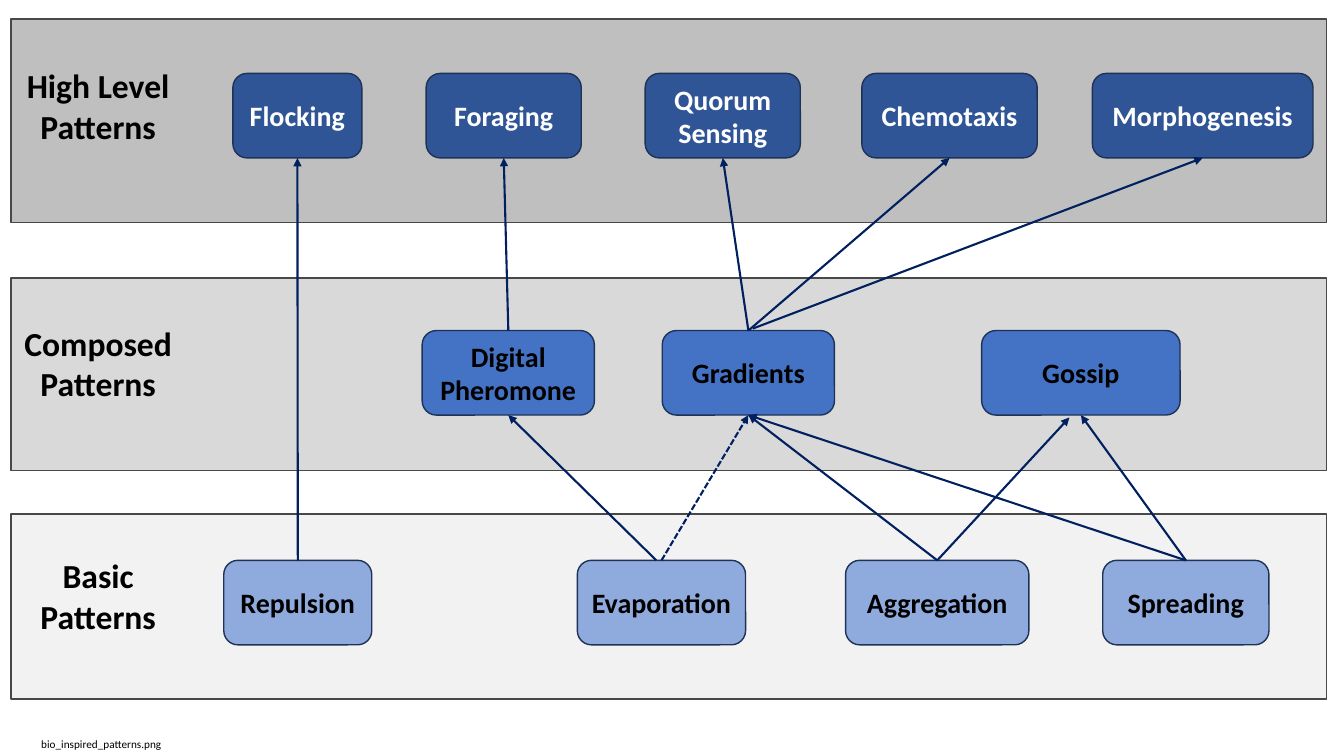
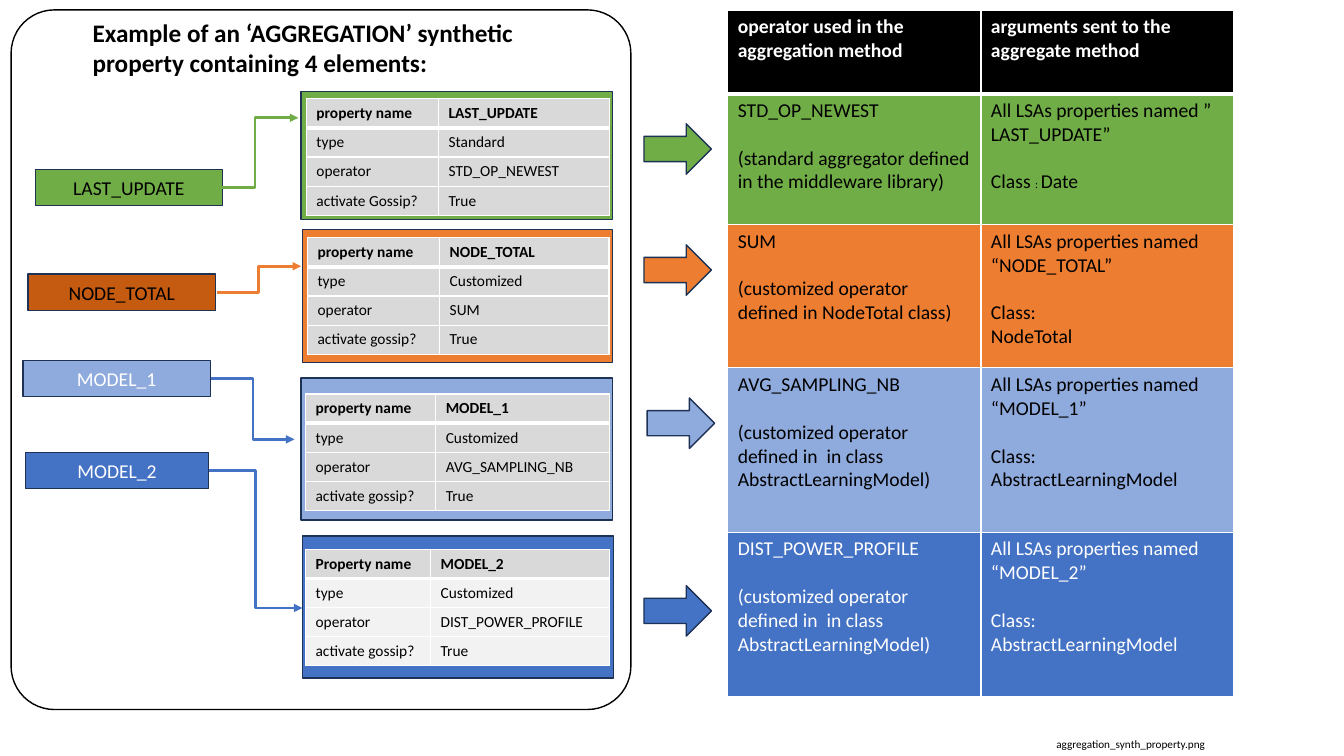
from lxml import etree
from pptx import Presentation
from pptx.dml.color import RGBColor
from pptx.enum import dml, shapes, text
from pptx.oxml import ns
from pptx.util import Cm, Pt

BLACK = RGBColor(0x00, 0x00, 0x00)
WHITE = RGBColor(0xFF, 0xFF, 0xFF)
NAVY = RGBColor(0x00, 0x20, 0x60)
OUTLINE = RGBColor(0x1E, 0x32, 0x56)
BAND_LINE = RGBColor(0x48, 0x48, 0x48)
DARK_GRAY = RGBColor(0xBF, 0xBF, 0xBF)
MID_GRAY = RGBColor(0xD9, 0xD9, 0xD9)
LIGHT_GRAY = RGBColor(0xF2, 0xF2, 0xF2)
DARK_BLUE = RGBColor(0x2F, 0x55, 0x97)
BLUE = RGBColor(0x44, 0x72, 0xC4)
LIGHT_BLUE = RGBColor(0x8F, 0xAA, 0xDC)
GREEN = RGBColor(0x70, 0xAD, 0x47)
ORANGE = RGBColor(0xED, 0x7D, 0x31)
RUST = RGBColor(0xC5, 0x5A, 0x11)

SHAPE = shapes.MSO_SHAPE
CENTER = text.PP_ALIGN.CENTER
LEFT = text.PP_ALIGN.LEFT
BOX_H = 2.13


class Deck:
    font = "Calibri"
    small = 8
    gap = 17

    def __init__(self):
        self.prs = Presentation()
        self.prs.slide_width = Cm(33.87)
        self.prs.slide_height = Cm(19.05)
        self.s = None

    def slide(self, layout):
        self.s = self.prs.slides.add_slide(self.prs.slide_layouts.get_by_name(layout))

    def put_text(self, tf, content, size, color=BLACK, bold=False, align=LEFT):
        """A blank line opens a gap; text between bars is small."""
        tf.word_wrap = True
        p = None
        for block in content.split("\n\n"):
            for i, line in enumerate(block.split("\n")):
                first = p is None
                p = tf.paragraphs[0] if first else tf.add_paragraph()
                p.alignment = align
                if not first and i == 0:
                    p.space_before = Pt(self.gap)
                for j, part in enumerate(line.split("|")):
                    r = p.add_run()
                    r.text = part
                    style = {"name": self.font, "bold": bold,
                             "size": Pt(self.small if j % 2 else size)}
                    for name, value in style.items():
                        setattr(r.font, name, value)
                    r.font.color.rgb = color

    def title(self, content, *place):
        sp = self.s.shapes.title
        for name, value in zip(("left", "top", "width", "height"), place):
            setattr(sp, name, Cm(value))
        sp.text_frame.auto_size = text.MSO_AUTO_SIZE.NONE
        sp.text_frame.vertical_anchor = text.MSO_ANCHOR.TOP
        self.put_text(sp.text_frame, content, 18, bold=True)

    def label(self, content, place, size, **style):
        sp = self.s.shapes.add_textbox(*map(Cm, place))
        self.put_text(sp.text_frame, content, size, **style)

    def shape(self, kind, place, fill=None, line=OUTLINE):
        sp = self.s.shapes.add_shape(kind, *map(Cm, place))
        sp.shadow.inherit = False
        if fill is None:
            sp.fill.background()
        else:
            sp.fill.solid()
            sp.fill.fore_color.rgb = fill
        sp.line.color.rgb = line
        sp.line.width = Pt(1)
        return sp

    def box(self, kind, place, fill, content, size, color, bold=False):
        sp = self.shape(kind, place, fill)
        tf = sp.text_frame
        tf.margin_left = tf.margin_right = 0
        tf.vertical_anchor = text.MSO_ANCHOR.MIDDLE
        self.put_text(tf, content, size, color, bold, CENTER)
        return sp

    def arrow(self, kind, start, end, color, width, dashed=False):
        points = [p if isinstance(p, tuple) else (0, 0) for p in (start, end)]
        c = self.s.shapes.add_connector(kind, *(Cm(v) for p in points for v in p))
        if not isinstance(start, tuple):
            c.begin_connect(start, 0)
        if not isinstance(end, tuple):
            c.end_connect(end, 2)
        c.line.color.rgb = color
        c.line.width = Pt(width)
        if dashed:
            c.line.dash_style = dml.MSO_LINE.SQUARE_DOT
        etree.SubElement(c.get_or_add_ln(), ns.qn("a:tailEnd"), type="triangle")
        etree.SubElement(c._element.spPr, ns.qn("a:effectLst"))

    def border(self, cell, row):
        widths = {"L": 1, "R": 1, "T": 3 if row == 1 else 1, "B": 3 if row == 0 else 1}
        tc_pr = cell._tc.get_or_add_tcPr()
        for i, (side, width) in enumerate(widths.items()):
            ln = etree.Element(ns.qn(f"a:ln{side}"), w=str(Pt(width)))
            fill = etree.SubElement(ln, ns.qn("a:solidFill"))
            etree.SubElement(fill, ns.qn("a:srgbClr"), val=str(WHITE))
            tc_pr.insert(i, ln)

    def table(self, left, top, cols, heights, rows, fills, colors, size):
        place = map(Cm, (left, top, sum(cols), sum(heights)))
        t = self.s.shapes.add_table(len(rows), len(cols), *place).table
        for col, width in zip(t.columns, cols):
            col.width = Cm(width)
        for i, row in enumerate(rows):
            t.rows[i].height = Cm(heights[i])
            for j, content in enumerate(row):
                cell = t.cell(i, j)
                cell.fill.solid()
                cell.fill.fore_color.rgb = fills[i]
                self.border(cell, i)
                self.put_text(cell.text_frame, content, size, colors[i], i == 0)

    def caption(self, content, left, width):
        self.label(content, (left, 18.45, width, 0.6), 8)


def patterns_slide(deck):
    deck.slide("Blank")
    levels = [
        ("High Level\nPatterns", 0.48, 5.13, DARK_GRAY, 1.52, 1.85, DARK_BLUE, WHITE,
         [("Flocking", 5.87, 3.25), ("Foraging", 10.74, 3.91),
          ("Quorum\nSensing", 16.26, 3.91), ("Chemotaxis", 21.72, 4.42),
          ("Morphogenesis", 27.53, 5.56)]),
        ("Composed\nPatterns", 7.01, 4.85, MID_GRAY, 8.0, 8.33, BLUE, BLACK,
         [("Digital\nPheromone", 10.64, 4.34), ("Gradients", 16.69, 4.34),
          ("Gossip", 24.74, 5.0)]),
        ("Basic\nPatterns", 12.95, 4.67, LIGHT_GRAY, 13.87, 14.12, LIGHT_BLUE, BLACK,
         [("Repulsion", 5.64, 3.73), ("Evaporation", 14.55, 4.24),
          ("Aggregation", 21.31, 4.62), ("Spreading", 27.79, 4.19)]),
    ]
    boxes = {}
    for name, top, height, gray, label_top, box_top, fill, color, patterns in levels:
        deck.shape(SHAPE.RECTANGLE, (0.28, top, 33.15, height), gray, BAND_LINE)
        deck.label(name, (0, label_top, 4.95, 2.31), 24, bold=True, align=CENTER)
        for pattern, left, width in patterns:
            boxes[pattern.split("\n")[0]] = deck.box(
                SHAPE.ROUNDED_RECTANGLE, (left, box_top, width, BOX_H),
                fill, pattern, 20, color, True)

    links = [
        ("Aggregation", (26.95, 10.52)), ("Spreading", "Gossip"),
        ((18.97, 8.28), "Morphogenesis"), ("Gradients", "Chemotaxis"),
        ("Gradients", "Quorum"), ("Digital", "Foraging"), ("Repulsion", "Flocking"),
        ((16.54, 14.12), "Digital"), ("Spreading", "Gradients"),
        ("Aggregation", "Gradients"), ("Evaporation", "Gradients"),
    ]
    for link in links:
        start, end = (boxes.get(p, p) for p in link)
        deck.arrow(shapes.MSO_CONNECTOR.STRAIGHT, start, end, NAVY, 1.5,
                   link == ("Evaporation", "Gradients"))
    deck.caption("bio_inspired_patterns.png", 0.79, 6.02)


def aggregation_slide(deck):
    deck.slide("Title Only")
    deck.title("Example of an ‘AGGREGATION’ synthetic property containing 4 elements:",
               2.08, 0.3, 12.93, 1.8)
    panel = deck.shape(SHAPE.ROUNDED_RECTANGLE, (0.28, 0.25, 15.62, 17.63), line=BLACK)
    panel.adjustments[0] = 0.07

    cards = [
        dict(rows=("property name", "LAST_UPDATE", "Standard", "STD_OP_NEWEST",
                   "activate Gossip?"),
             frame=(7.59, 2.31, 7.85, 3.23), fill=GREEN, body=MID_GRAY,
             table=(7.72, 2.49), cols=(3.33, 4.32), tag=(0.89, 4.27, 4.72, 0.91),
             tag_fill=GREEN, color=BLACK, start=5.33, end=(7.52, 2.97), link=GREEN,
             arrow=(16.23, 3.12)),
        dict(rows=("property name", "NODE_TOTAL", "Customized", "SUM", "activate gossip?"),
             frame=(7.62, 5.79, 7.82, 3.35), fill=ORANGE, body=MID_GRAY,
             table=(7.75, 5.99), cols=(3.33, 4.27), tag=(0.71, 6.91, 4.72, 0.91),
             tag_fill=RUST, color=BLACK, start=5.46, end=(7.59, 6.71), link=ORANGE,
             arrow=(16.23, 6.17)),
        dict(rows=("property name", "MODEL_1", "Customized", "AVG_SAMPLING_NB",
                   "activate gossip?"),
             frame=(7.59, 9.53, 7.85, 3.58), fill=LIGHT_BLUE, body=MID_GRAY,
             table=(7.7, 9.93), cols=(3.28, 4.37), tag=(0.58, 9.09, 4.72, 0.91),
             tag_fill=LIGHT_BLUE, color=WHITE, start=5.33, end=(7.42, 11.07), link=BLUE,
             arrow=(16.31, 10.03)),
        dict(rows=("Property name", "MODEL_2", "Customized", "DIST_POWER_PROFILE",
                   "activate gossip?"),
             frame=(7.62, 13.51, 7.85, 3.58), fill=BLUE, body=LIGHT_GRAY,
             table=(7.7, 13.84), cols=(3.15, 4.52), tag=(0.64, 11.4, 4.62, 0.91),
             tag_fill=BLUE, color=WHITE, start=5.26, end=(7.62, 15.32), link=BLUE,
             arrow=(16.23, 14.76)),
    ]
    for card in cards:
        head, name, kind, operator, gossip = card["rows"]
        deck.shape(SHAPE.RECTANGLE, card["frame"], card["fill"])
        rows = [(head, name), ("type", kind), ("operator", operator), (gossip, "True")]
        deck.table(*card["table"], card["cols"], [0.72] * 4, rows,
                   [MID_GRAY] + [card["body"]] * 3, [BLACK] * 4, 11)
        tag = card["tag"]
        deck.box(SHAPE.RECTANGLE, tag, card["tag_fill"], name, 14, card["color"])
        deck.arrow(shapes.MSO_CONNECTOR.ELBOW, (card["start"], tag[1] + tag[3] / 2),
                   card["end"], card["link"], 2)
        deck.shape(SHAPE.RIGHT_ARROW, (*card["arrow"], 1.7, 1.27), card["fill"])

    model = "(customized operator defined in  in class AbstractLearningModel)"
    rows = [
        ("operator used in the aggregation method", "arguments sent to the aggregate method"),
        ("STD_OP_NEWEST\n\n(standard aggregator defined in the middleware library)",
         "All LSAs properties named ” LAST_UPDATE”\n\nClass |: |Date"),
        ("SUM\n\n(customized operator defined in NodeTotal class)",
         "All LSAs properties named “NODE_TOTAL”\n\nClass:\nNodeTotal"),
        (f"AVG_SAMPLING_NB\n\n{model}",
         "All LSAs properties named “MODEL_1”\n\nClass:\nAbstractLearningModel"),
        (f"DIST_POWER_PROFILE\n\n{model}",
         "All LSAs properties named “MODEL_2”\n\nClass: AbstractLearningModel"),
    ]
    deck.table(18.34, 0.25, (6.38, 6.38), (2.11, 3.3, 3.61, 4.14, 4.14), rows,
               [BLACK] + [card["fill"] for card in cards],
               [WHITE, BLACK, BLACK, BLACK, WHITE], 14)
    deck.caption("aggregation_synth_property.png", 26.37, 4.72)


def main():
    deck = Deck()
    patterns_slide(deck)
    aggregation_slide(deck)
    deck.prs.save("out.pptx")


if __name__ == "__main__":
    main()
